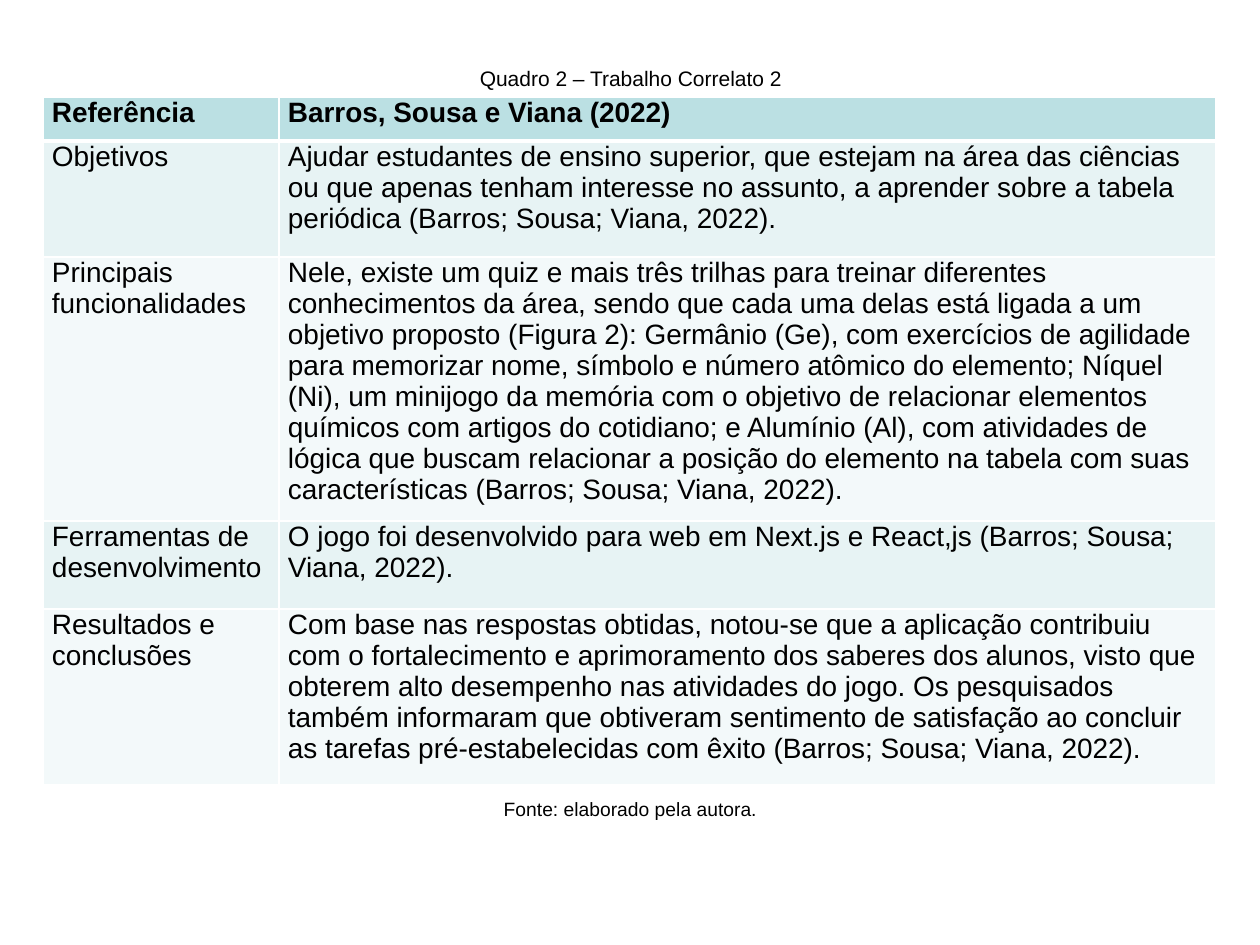
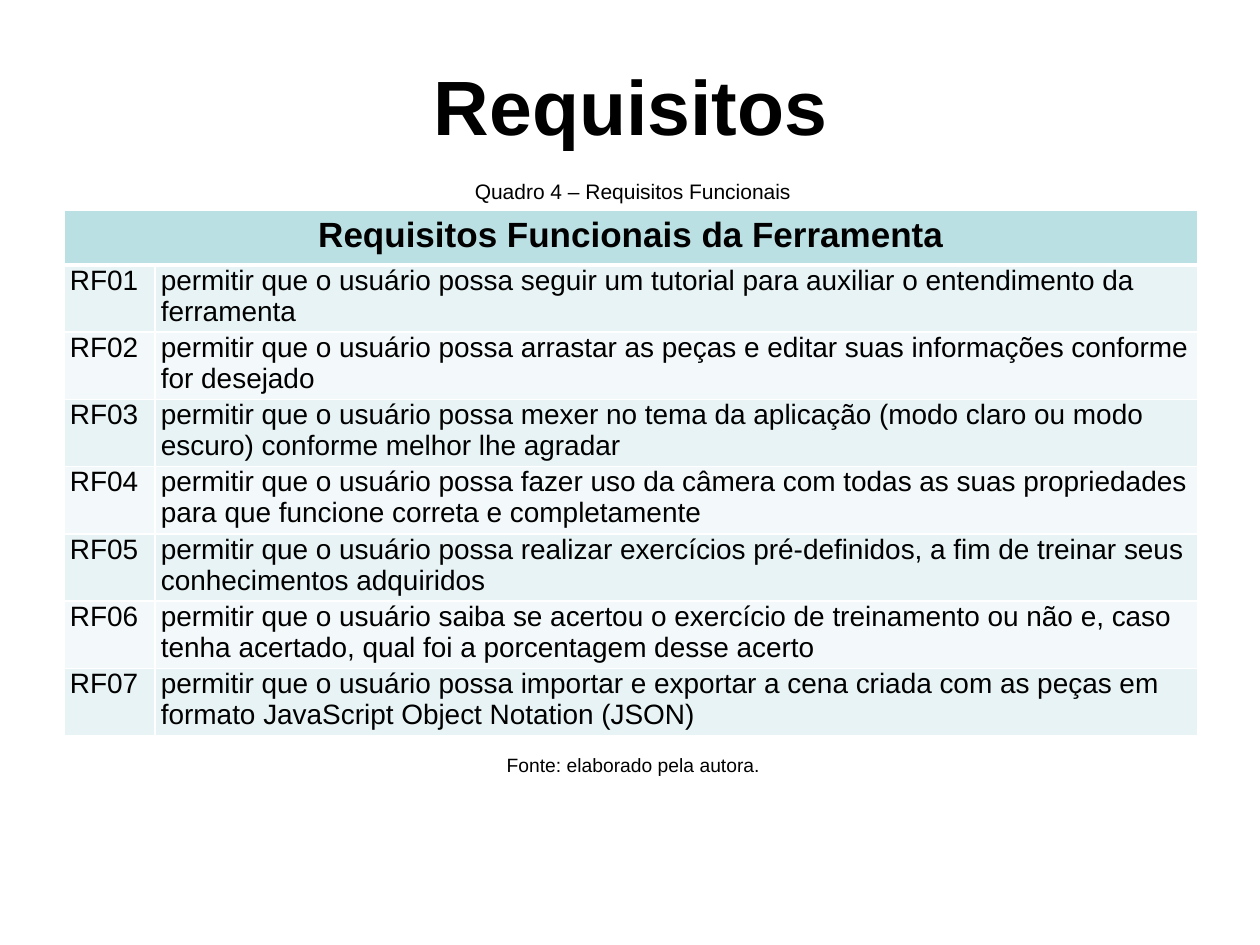
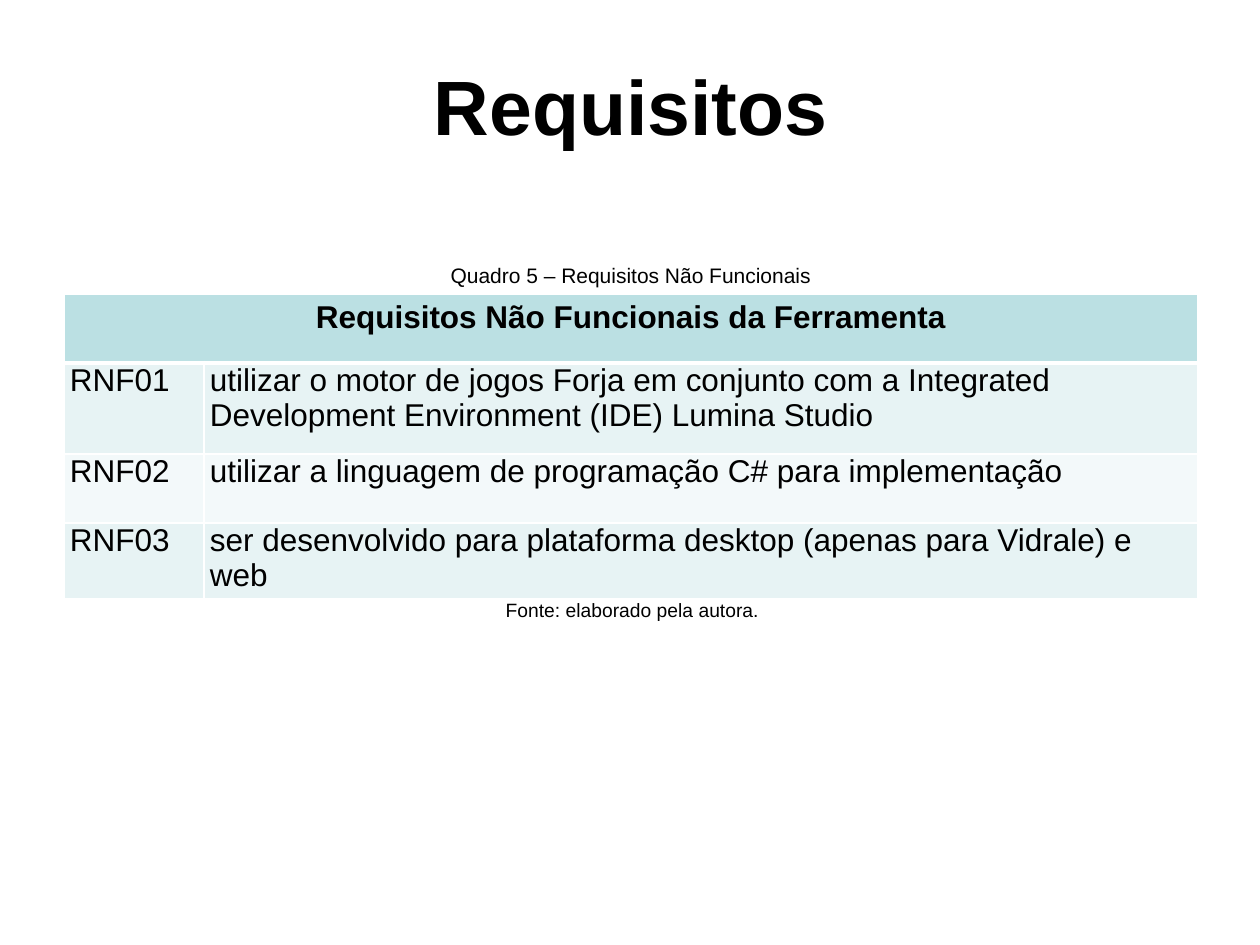
from lxml.etree import SubElement
from pptx import Presentation
from pptx.dml.color import RGBColor
from pptx.enum.text import MSO_ANCHOR, PP_ALIGN
from pptx.oxml.ns import qn
from pptx.util import Pt

PX = 914400 // 126  # EMU per px
FONT = "Arial"
BLACK = RGBColor(0x00, 0x00, 0x00)
WHITE = RGBColor(0xFF, 0xFF, 0xFF)
HEADER_FILL = RGBColor(0xBB, 0xE0, 0xE3)
BAND_FILLS = (RGBColor(0xE7, 0xF3, 0xF4), RGBColor(0xF3, 0xF9, 0xFA))
SOURCE_NOTE = "Fonte: elaborado pela autora."
TITLE_BOX = (64, 26, 1134, 158)
LINE_BOX_HEIGHT = 37

# Boxes are (left, top, width, height); insets are (side, top and bottom).
SLIDES = [
    dict(
        title=None,
        caption="Quadro 2 – Trabalho Correlato 2",
        caption_box=(466, 59, 330, LINE_BOX_HEIGHT),
        source_box=(-91, 790, 1443, LINE_BOX_HEIGHT),
        table_at=(43, 97),
        columns=(236, 937),
        row_heights=(44, 116, 264, 88, 176),
        header_size=16, body_size=16,
        header_insets=(9, 0), body_insets=(9, 0),
        header=("Referência", "Barros, Sousa e Viana (2022)"),
        body=[
            ("Objetivos",
             "Ajudar estudantes de ensino superior, que estejam na área das ciências ou que "
             "apenas tenham interesse no assunto, a aprender sobre a tabela periódica "
             "(Barros; Sousa; Viana, 2022)."),
            ("Principais funcionalidades",
             "Nele, existe um quiz e mais três trilhas para treinar diferentes conhecimentos "
             "da área, sendo que cada uma delas está ligada a um objetivo proposto (Figura 2): "
             "Germânio (Ge), com exercícios de agilidade para memorizar nome, símbolo e número "
             "atômico do elemento; Níquel (Ni), um minijogo da memória com o objetivo de "
             "relacionar elementos químicos com artigos do cotidiano; e Alumínio (Al), com "
             "atividades de lógica que buscam relacionar a posição do elemento na tabela com "
             "suas características (Barros; Sousa; Viana, 2022)."),
            ("Ferramentas de desenvolvimento",
             "O jogo foi desenvolvido para web em Next.js e React,js "
             "(Barros; Sousa; Viana, 2022)."),
            ("Resultados e conclusões",
             "Com base nas respostas obtidas, notou-se que a aplicação contribuiu com o "
             "fortalecimento e aprimoramento dos saberes dos alunos, visto que obterem alto "
             "desempenho nas atividades do jogo. Os pesquisados também informaram que "
             "obtiveram sentimento de satisfação ao concluir as tarefas pré-estabelecidas "
             "com êxito (Barros; Sousa; Viana, 2022)."),
        ],
    ),
    dict(
        title="Requisitos",
        caption="Quadro 4 – Requisitos Funcionais",
        caption_box=(461, 172, 344, LINE_BOX_HEIGHT),
        source_box=(-88, 746, 1443, LINE_BOX_HEIGHT),
        table_at=(64, 210),
        columns=(91, 1043),
        row_heights=(55,) + (67,) * 7,
        header_size=20, body_size=16,
        header_insets=(13, 6), body_insets=(6, 0),
        header=("Requisitos Funcionais da Ferramenta",),
        body=[
            ("RF01", "permitir que o usuário possa seguir um tutorial para auxiliar o "
                     "entendimento da ferramenta"),
            ("RF02", "permitir que o usuário possa arrastar as peças e editar suas "
                     "informações conforme for desejado"),
            ("RF03", "permitir que o usuário possa mexer no tema da aplicação (modo claro "
                     "ou modo escuro) conforme melhor lhe agradar"),
            ("RF04", "permitir que o usuário possa fazer uso da câmera com todas as suas "
                     "propriedades para que funcione correta e completamente"),
            ("RF05", "permitir que o usuário possa realizar exercícios pré-definidos, a fim "
                     "de treinar seus conhecimentos adquiridos"),
            ("RF06", "permitir que o usuário saiba se acertou o exercício de treinamento ou "
                     "não e, caso tenha acertado, qual foi a porcentagem desse acerto"),
            ("RF07", "permitir que o usuário possa importar e exportar a cena criada com as "
                     "peças em formato JavaScript Object Notation (JSON)"),
        ],
    ),
    dict(
        title="Requisitos",
        caption="Quadro 5 – Requisitos Não Funcionais",
        caption_box=(437, 256, 388, LINE_BOX_HEIGHT),
        source_box=(-89, 591, 1443, LINE_BOX_HEIGHT),
        table_at=(64, 294),
        columns=(140, 994),
        row_heights=(69, 91, 69, 69),
        header_size=18, body_size=18,
        header_insets=(13, 6), body_insets=(6, 0),
        header=("Requisitos Não Funcionais da Ferramenta",),
        body=[
            ("RNF01", "utilizar o motor de jogos Forja em conjunto com a Integrated "
                      "Development Environment (IDE) Lumina Studio"),
            ("RNF02", "utilizar a linguagem de programação C# para implementação"),
            ("RNF03", "ser desenvolvido para plataforma desktop (apenas para Vidrale) e web"),
        ],
    ),
]


def write(frame, text, size, bold=False, align=PP_ALIGN.LEFT):
    paragraph = frame.paragraphs[0]
    paragraph.alignment = align
    run = paragraph.add_run()
    run.text = text
    run.font.name = FONT
    run.font.size = Pt(size)
    run.font.bold = bold
    run.font.color.rgb = BLACK


def add_line_of_text(slide, box, text, wrap=True, anchor=MSO_ANCHOR.MIDDLE, **style):
    frame = slide.shapes.add_textbox(*(n * PX for n in box)).text_frame
    frame.word_wrap = wrap
    frame.vertical_anchor = anchor
    write(frame, text, align=PP_ALIGN.CENTER, **style)


def set_borders(cell, **widths):
    """Draw white cell edges; widths are points by side: L, R, T, B."""
    properties = cell._tc.get_or_add_tcPr()
    for side, width in widths.items():
        edge = SubElement(properties, qn(f"a:ln{side}"), w=str(Pt(width)))
        fill = SubElement(edge, qn("a:solidFill"))
        SubElement(fill, qn("a:srgbClr"), val=str(WHITE))


def add_framework(slide, content):
    """Add the table with its header row and banded body."""
    columns, heights = content["columns"], content["row_heights"]
    box = (*content["table_at"], sum(columns), sum(heights))
    table = slide.shapes.add_table(
        len(heights), len(columns), *(n * PX for n in box)).table
    for column, width in zip(table.columns, columns):
        column.width = width * PX
    for row, height in zip(table.rows, heights):
        row.height = height * PX

    header = content["header"]
    spans_columns = len(header) == 1
    if spans_columns:
        table.cell(0, 0).merge(table.cell(0, len(columns) - 1))

    for r, texts in enumerate([header, *content["body"]]):
        part = "body" if r else "header"
        side, vertical = content[f"{part}_insets"]
        centred = spans_columns and r == 0
        for c in range(len(columns)):
            cell = table.cell(r, c)
            set_borders(cell, L=1, R=1, T=3 if r == 1 else 1, B=1 if r else 3)
            cell.fill.solid()
            cell.fill.fore_color.rgb = BAND_FILLS[(r - 1) % 2] if r else HEADER_FILL
            cell.margin_left = cell.margin_right = side * PX
            cell.margin_top = cell.margin_bottom = vertical * PX
            if c < len(texts):
                write(cell.text_frame, texts[c], content[f"{part}_size"], bold=r == 0,
                      align=PP_ALIGN.CENTER if centred else PP_ALIGN.LEFT)


def main():
    deck = Presentation()
    deck.slide_width, deck.slide_height = 1260 * PX, 945 * PX
    blank = deck.slide_layouts[6]
    for content in SLIDES:
        slide = deck.slides.add_slide(blank)
        if content["title"]:
            add_line_of_text(slide, TITLE_BOX, content["title"], size=44, bold=True)
        add_framework(slide, content)
        add_line_of_text(slide, content["source_box"], SOURCE_NOTE, size=11)
        add_line_of_text(slide, content["caption_box"], content["caption"], size=12,
                         wrap=False, anchor=MSO_ANCHOR.TOP)
    deck.save("out.pptx")


if __name__ == "__main__":
    main()
